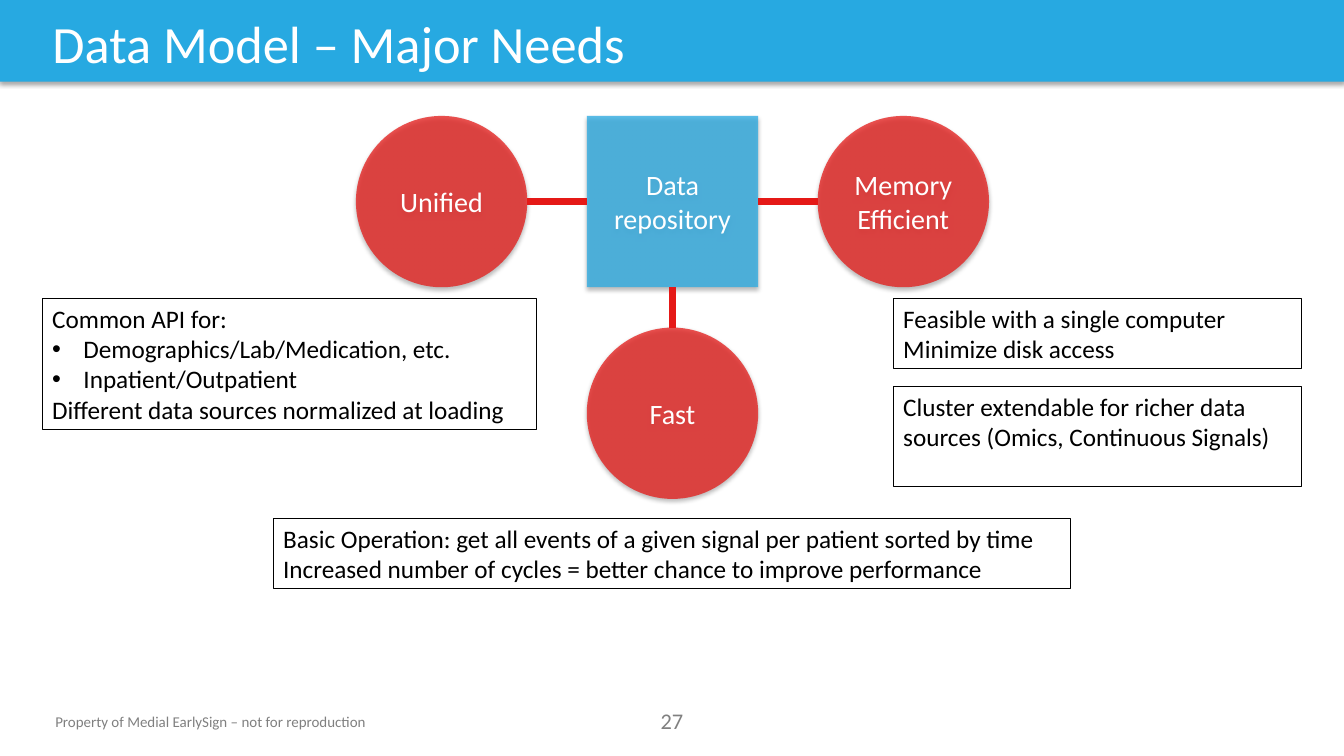
"""Build the slide on the major needs of the data model."""
from pptx import Presentation, util as u
from pptx.dml.color import RGBColor
from pptx.enum import shapes, text
from pptx.oxml import parse_xml
from pptx.oxml.ns import nsdecls

BAND_BLUE = RGBColor(0x27, 0xA9, 0xE1)
NODE_BLUE = RGBColor(0x27, 0xA9, 0xE2)
RED = RGBColor(0xE5, 0x19, 0x17)
GREY = RGBColor(0x80, 0x80, 0x80)
BLACK = RGBColor(0, 0, 0)
WHITE = RGBColor(0xFF, 0xFF, 0xFF)
LEFT, CENTER = text.PP_ALIGN.LEFT, text.PP_ALIGN.CENTER
MIDDLE, TOP = text.MSO_ANCHOR.MIDDLE, text.MSO_ANCHOR.TOP

SHADOW = (
    f'<a:outerShdw {nsdecls("a")} blurRad="39370" dist="22860" dir="5400000" rotWithShape="0">'
    '<a:srgbClr val="000000"><a:alpha val="35000"/></a:srgbClr></a:outerShdw>'
)
ALPHA = f'<a:alpha {nsdecls("a")} val="75000"/>'
BULLET = (
    f'<a:buFont {nsdecls("a")} typeface="Arial"/>',
    f'<a:buChar {nsdecls("a")} char="•"/>',
)


def write(box, lines, size, color, align=LEFT, anchor=TOP, wrap=True):
    """Fill a box with paragraphs; a line that starts with • becomes a bullet."""
    frame = box.text_frame
    frame.auto_size = text.MSO_AUTO_SIZE.NONE
    frame.word_wrap = wrap
    frame.vertical_anchor = anchor
    for index, line in enumerate(lines):
        para = frame.paragraphs[0] if index == 0 else frame.add_paragraph()
        para.alignment = align
        if line.startswith("•"):
            properties = para._p.get_or_add_pPr()
            properties.set("marL", str(u.Inches(0.31)))
            properties.set("indent", str(-u.Inches(0.31)))
            for mark in BULLET:
                properties.append(parse_xml(mark))
        span = para.add_run()
        span.text = line.lstrip("•")
        for name, value in {"name": "Calibri", "size": u.Pt(size), "bold": False}.items():
            setattr(span.font, name, value)
        span.font.color.rgb = color


def add_solid(kind, place, color):
    """Add a filled shape with a soft shadow and no outline."""
    shape = page.shapes.add_shape(kind, *map(u.Inches, place))
    shape.fill.solid()
    shape.fill.fore_color.rgb = color
    shape.line.fill.background()
    shape.shadow.inherit = False
    shape._element.spPr.find("{*}effectLst").append(parse_xml(SHADOW))
    return shape


deck = Presentation()
deck.slide_width, deck.slide_height = u.Inches(13.33), u.Inches(7.5)
page = deck.slides.add_slide(deck.slide_layouts[5])

title = page.shapes.title
for side, length in {"left": 0.42, "top": 0.06, "width": 11.1, "height": 0.73}.items():
    setattr(title, side, u.Inches(length))
write(title, ["Data Model – Major Needs"], 37.4, WHITE, anchor=MIDDLE)
band = add_solid(shapes.MSO_SHAPE.RECTANGLE, (0, -0.01, 13.33, 0.82), BAND_BLUE)
title.element.addprevious(band.element)

FOOTERS = [
    ((0.45, 7.02, 3.28, 0.28), "Property of Medial EarlySign – not for reproduction", 10.7, LEFT, False),
    ((6.26, 6.97, 0.81, 0.37), "27", 16, CENTER, True),
]
for place, words, size, align, wrap in FOOTERS:
    box = page.shapes.add_textbox(*map(u.Inches, place))
    write(box, [words], size, GREY, align, wrap=wrap)

NODE, COLUMN, ROW = 1.7, 2.29, 2.1
NODES = [
    ("Unified", 0, 0, shapes.MSO_SHAPE.OVAL, RED),
    ("Fast", 1, 1, shapes.MSO_SHAPE.OVAL, RED),
    ("Memory Efficient", 2, 0, shapes.MSO_SHAPE.OVAL, RED),
    ("Data repository", 1, 0, shapes.MSO_SHAPE.RECTANGLE, NODE_BLUE),
]
for label, column, row, kind, color in NODES:
    place = (3.53 + column * COLUMN, 1.15 + row * ROW, NODE, NODE)
    node = add_solid(kind, place, color)
    node._element.spPr.find("{*}solidFill")[0].append(parse_xml(ALPHA))
    write(node, [label], 20, WHITE, CENTER, MIDDLE)
repository = node

LINKS = [(1, 5.23, 2), (3, 8.11, 2), (2, 6.67, 3.25)]
for side, x, y in LINKS:
    end = u.Inches(x), u.Inches(y)
    link = page.shapes.add_connector(shapes.MSO_CONNECTOR.STRAIGHT, *end, *end)
    link.begin_connect(repository, side)
    link.line.color.rgb = RED
    link.line.width = u.Pt(5)
    link._element.spPr.append(parse_xml(f'<a:effectLst {nsdecls("a")}/>'))

NOTES = [
    ((8.86, 2.96, 4.05, 0.7), ["Feasible with a single computer", "Minimize disk access"]),
    ((0.42, 2.96, 4.9, 1.3), [
        "Common API for:",
        "•Demographics/Lab/Medication, etc.",
        "•Inpatient/Outpatient",
        "Different data sources normalized at loading",
    ]),
    ((2.71, 5.14, 7.91, 0.7), [
        "Basic Operation: get all events of a given signal per patient sorted by time",
        "Increased number of cycles = better chance to improve performance",
    ]),
    ((8.86, 3.83, 4.05, 1), ["Cluster extendable for richer data sources (Omics, Continuous Signals)"]),
]
for place, lines in NOTES:
    note = page.shapes.add_shape(shapes.MSO_SHAPE.RECTANGLE, *map(u.Inches, place))
    note.shadow.inherit = False
    note.fill.background()
    note.line.color.rgb = BLACK
    note.line.width = u.Pt(0)
    write(note, lines, 18, BLACK)

deck.save("out.pptx")
